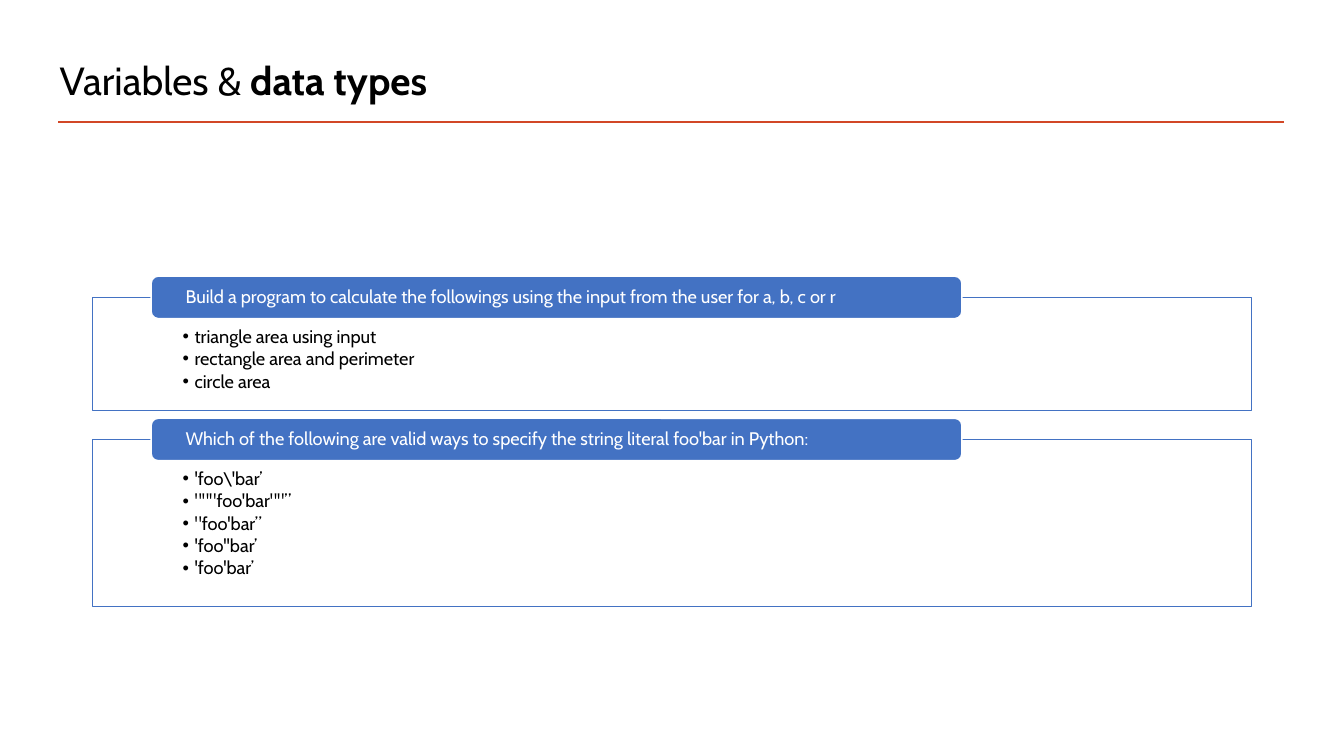
from dataclasses import dataclass

from lxml import etree
from pptx import Presentation
from pptx import util as u
from pptx.dml.color import RGBColor
from pptx.enum import shapes, text
from pptx.oxml.ns import qn

PX = 9144


@dataclass(frozen=True)
class Theme:
    font: str = "Cabin"
    ink: str = "000000"
    paper: str = "FFFFFF"
    blue: str = "4372C3"
    red: str = "D24726"
    title_size: int = 28
    body_size: int = 13


THEME = Theme()

EXERCISES = [
    (
        295,
        112,
        "Build a program to calculate the followings using the input from the user for a, b, c or r",
        ["triangle area using input", "rectangle area and perimeter", "circle area"],
    ),
    (
        436,
        166,
        "Which of the following are valid ways to specify the string literal foo'bar in Python:",
        ["'foo\\'bar’", "\"\"\"foo'bar\"\"”", "\"foo'bar”", "'foo''bar’", "'foo'bar’"],
    ),
]


def px(*lengths):
    return [u.Emu(length * PX) for length in lengths]


def color(value):
    return RGBColor.from_string(value)


def place(shape, box):
    shape.left, shape.top, shape.width, shape.height = px(*box)


def set_frame(shape, insets, anchor):
    frame = shape.text_frame
    frame.word_wrap = True
    frame.auto_size = text.MSO_AUTO_SIZE.NONE
    frame.vertical_anchor = anchor
    (frame.margin_left, frame.margin_top,
     frame.margin_right, frame.margin_bottom) = px(*insets)
    return frame


def write_text(paragraph, content, size=THEME.body_size, ink=THEME.ink, bold=False, before=0):
    paragraph.alignment = text.PP_ALIGN.LEFT
    paragraph.line_spacing = 0.9
    paragraph.space_before = u.Pt(before)
    paragraph.space_after = u.Pt(0)
    run = paragraph.add_run()
    run.text = content
    run.font.name = THEME.font
    run.font.size = u.Pt(size)
    run.font.bold = bold
    run.font.color.rgb = color(ink)


def paint(shape, fill, line):
    shape.fill.solid()
    shape.fill.fore_color.rgb = color(fill)
    shape.line.color.rgb = color(line)
    shape.line.width = u.Pt(1)


def add_bullet(paragraph):
    properties = paragraph._p.get_or_add_pPr()
    properties.set("marL", str(12 * PX))
    properties.set("indent", str(-12 * PX))
    bullet_color = etree.SubElement(properties, qn("a:buClr"))
    etree.SubElement(bullet_color, qn("a:srgbClr"), val=THEME.ink)
    etree.SubElement(properties, qn("a:buFont"), typeface="Arial")
    etree.SubElement(properties, qn("a:buChar"), char="•")


def draw_heading(slide, box):
    left, top, width, height = box
    title = slide.shapes.title
    place(title, box)
    frame = set_frame(title, (10, 5, 10, 5), text.MSO_ANCHOR.MIDDLE)
    paragraph = frame.paragraphs[0]
    write_text(paragraph, "Variables & ", size=THEME.title_size)
    write_text(paragraph, "data types", size=THEME.title_size, bold=True)

    rule_top = top + height + 4
    rule = slide.shapes.add_connector(
        shapes.MSO_CONNECTOR.STRAIGHT,
        *px(left + 9, rule_top, left + 1225, rule_top))
    rule.line.color.rgb = color(THEME.red)
    rule.line.width = u.Pt(2)
    etree.SubElement(rule._element.spPr, qn("a:effectLst"))


def draw_exercise(slide, panel, box, question, answers):
    left, top, width, height = box
    place(panel, box)
    paint(panel, THEME.paper, THEME.blue)
    fill_color = panel._element.spPr.find(qn("a:solidFill"))[0]
    etree.SubElement(fill_color, qn("a:alpha"), val="89000")
    frame = set_frame(panel, (89, 30, 89, 10), text.MSO_ANCHOR.TOP)
    for index, answer in enumerate(answers):
        paragraph = frame.add_paragraph() if index else frame.paragraphs[0]
        paragraph.level = 1
        add_bullet(paragraph)
        write_text(paragraph, answer, before=1.9 if index else 0)

    header = slide.shapes.add_shape(
        shapes.MSO_SHAPE.ROUNDED_RECTANGLE, *px(left + 58, top - 21, 804, 42))
    header.shadow.inherit = False
    paint(header, THEME.blue, THEME.paper)
    frame = set_frame(header, (32, 0, 32, 0), text.MSO_ANCHOR.MIDDLE)
    write_text(frame.paragraphs[0], question, ink=THEME.paper)


def main():
    presentation = Presentation()
    presentation.slide_width, presentation.slide_height = u.Inches(13.33), u.Inches(7.5)
    two_content = presentation.slide_layouts.get_by_name("Two Content")
    slide = presentation.slides.add_slide(two_content)
    draw_heading(slide, (49, 47, 765, 70))
    for index, (top, height, question, answers) in enumerate(EXERCISES, start=1):
        panel = slide.placeholders[index]
        draw_exercise(slide, panel, (92, top, 1149, height), question, answers)
    presentation.save("out.pptx")


if __name__ == "__main__":
    main()
